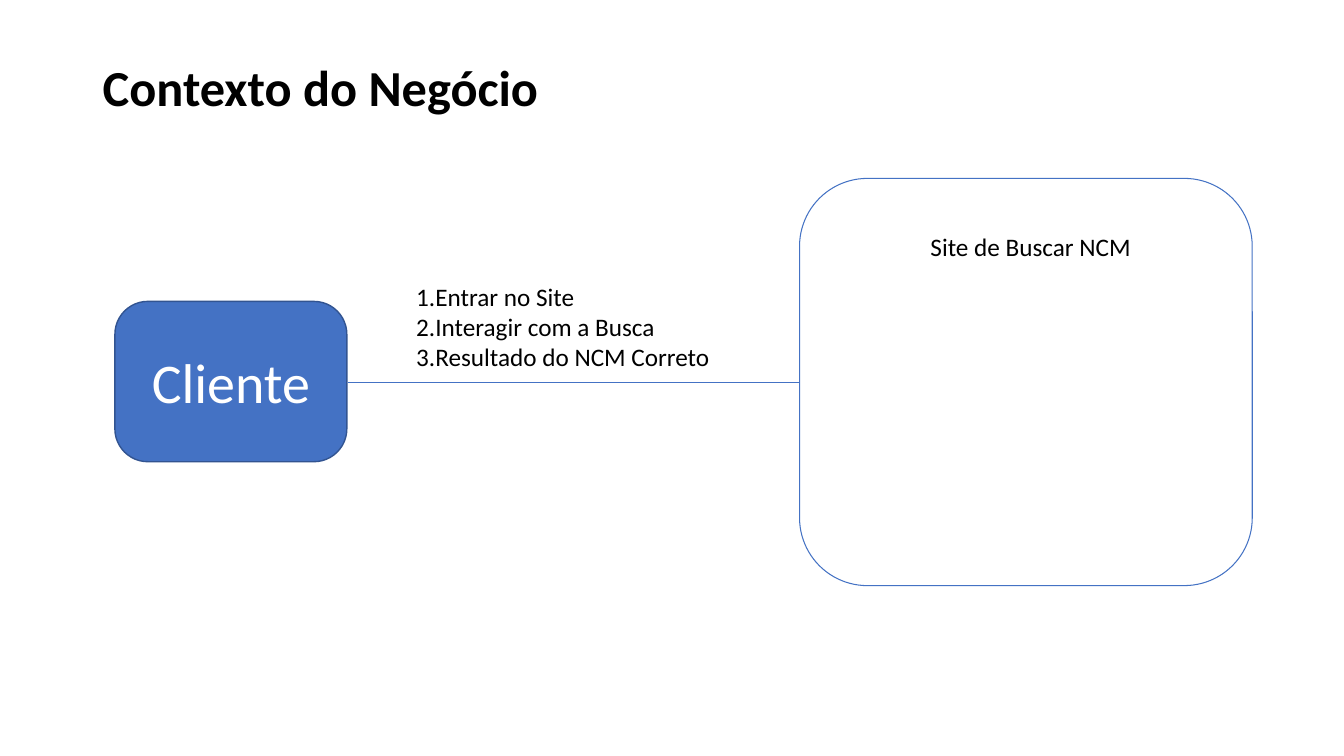
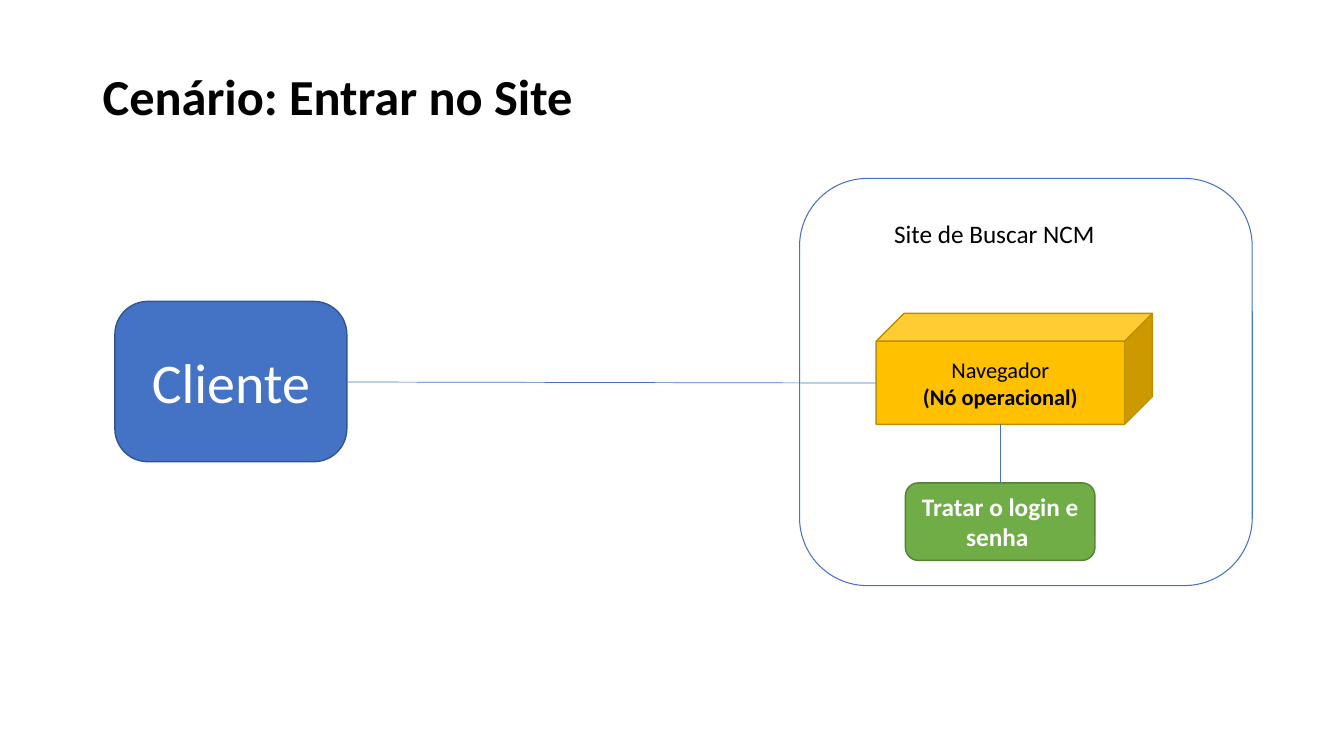
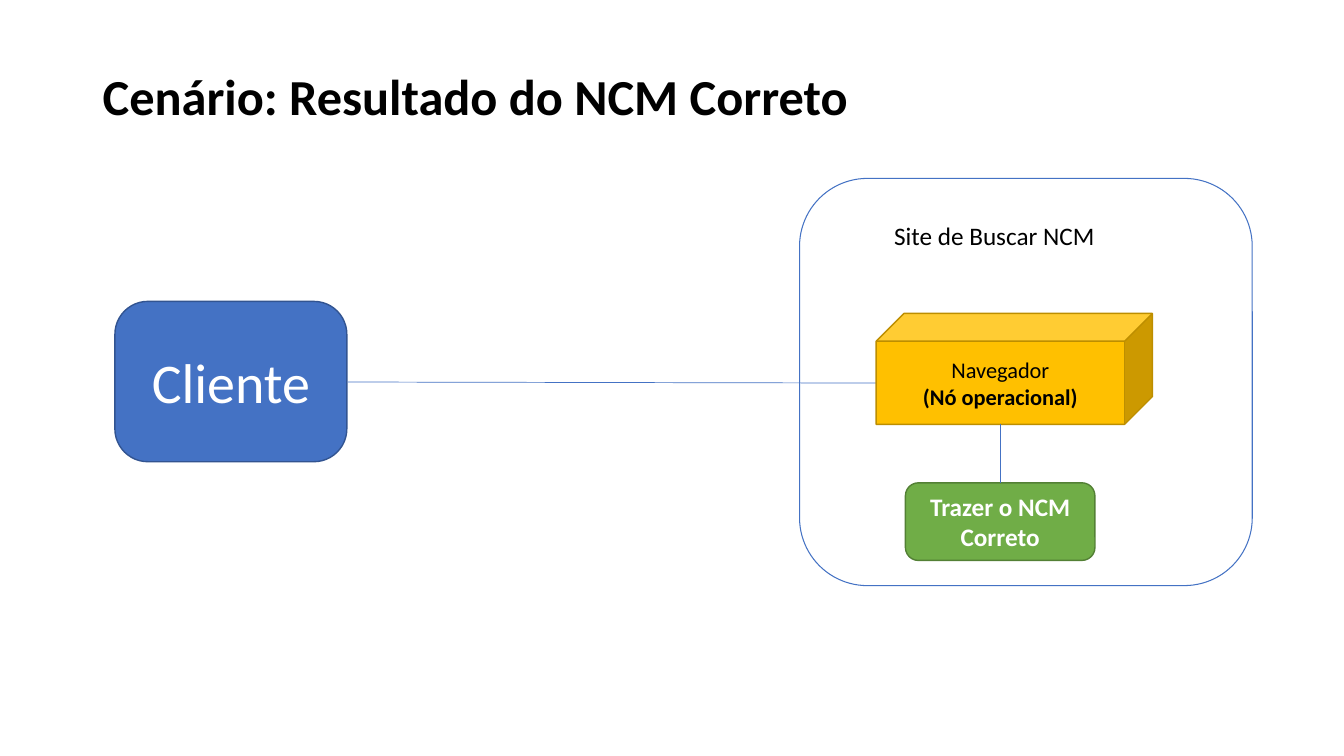
from pptx import Presentation
from pptx.dml.color import RGBColor
from pptx.enum.shapes import MSO_CONNECTOR, MSO_SHAPE
from pptx.enum.text import MSO_ANCHOR, MSO_AUTO_SIZE, PP_ALIGN
from pptx.oxml.ns import qn
from pptx.util import Inches, Pt
from lxml import etree

ROUNDED, CUBE = MSO_SHAPE.ROUNDED_RECTANGLE, MSO_SHAPE.CUBE
STRAIGHT = MSO_CONNECTOR.STRAIGHT
TOP, MIDDLE, BOTTOM = MSO_ANCHOR.TOP, MSO_ANCHOR.MIDDLE, MSO_ANCHOR.BOTTOM
LEFT, CENTER = PP_ALIGN.LEFT, PP_ALIGN.CENTER
GROW = MSO_AUTO_SIZE.SHAPE_TO_FIT_TEXT

FONT = "Calibri"
COLORS = {
    "black": "000000", "white": "FFFFFF",
    "blue": "4472C4", "blue_edge": "325491",
    "gold": "FFC000", "gold_edge": "BD8E00",
    "green": "70AD47", "green_edge": "538035",
}

# Left, top, width, height in inches
CLIENT = (1.14, 2.99, 2.3, 1.59)
SITE = (7.93, 1.77, 4.49, 4.04)
BROWSER = (8.69, 3.11, 2.74, 1.1)
TASK = (8.98, 4.79, 1.88, 0.77)
LINK_START = (3.45, 3.79)


def color(name):
    return RGBColor.from_string(COLORS[name])


def write(shape, lines, size=18, ink="black", bold=(False,), align=LEFT,
          anchor=TOP, spacing=None):
    """Write one paragraph per line; bold holds one flag per line or one for all."""
    frame = shape.text_frame
    frame.word_wrap = True
    frame.vertical_anchor = anchor
    flags = bold if len(bold) == len(lines) else bold * len(lines)
    for index, (line, flag) in enumerate(zip(lines, flags)):
        para = frame.add_paragraph() if index else frame.paragraphs[0]
        para.alignment = align
        if spacing:
            para.line_spacing = spacing
        span = para.add_run()
        span.text = line
        span.font.name = FONT
        span.font.size = Pt(size)
        span.font.bold = flag
        span.font.color.rgb = color(ink)


def add_text(page, area, lines, **style):
    box = page.shapes.add_textbox(*map(Inches, area))
    write(box, lines, **style)
    box.text_frame.auto_size = GROW


def add_box(page, kind, area, edge, fill=None, width=1, corner=None):
    box = page.shapes.add_shape(kind, *map(Inches, area))
    box.shadow.inherit = False
    if fill:
        box.fill.solid()
        box.fill.fore_color.rgb = color(fill)
    else:
        box.fill.background()
    box.line.color.rgb = color(edge)
    box.line.width = Pt(width)
    if corner:
        box.adjustments[0] = corner
    return box


def add_line(page, start, end):
    line = page.shapes.add_connector(STRAIGHT, *map(Inches, start + end))
    line.line.color.rgb = color("blue")
    line.line.width = Pt(0.5)
    etree.SubElement(line._element.spPr, qn("a:effectLst"))


def add_page(deck, title, title_top, label_at, link_end):
    """Add the title, the client, the site and the line that joins them."""
    page = deck.slides.add_slide(deck.slide_layouts[6])
    add_box(page, ROUNDED, SITE, "blue", width=0.75)
    client = add_box(page, ROUNDED, CLIENT, "blue_edge", "blue", corner=0.205)
    write(client, ["Cliente"], size=40, ink="white", align=CENTER, anchor=MIDDLE)
    add_text(page, (0.92, title_top, 11.5, 0.65), [title], size=36,
             bold=(True,), anchor=BOTTOM, spacing=0.9)
    add_line(page, LINK_START, link_end)
    add_text(page, label_at + (3.29, 0.4), ["Site de Buscar NCM"])
    return page


def add_context(deck):
    page = add_page(deck, "Contexto do Negócio", 0.56, (9.13, 2.25),
                    (SITE[0], LINK_START[1]))
    add_text(page, (4.03, 2.74, 3.51, 1.01),
             ["1.Entrar no Site", "2.Interagir com a Busca",
              "3.Resultado do NCM Correto"])


def add_scenario(deck, name, task_text, label_top):
    page = add_page(deck, "Cenário: " + name, 0.65, (8.77, label_top),
                    (BROWSER[0], 3.8))
    # Browser node and the task below it
    browser = add_box(page, CUBE, BROWSER, "gold_edge", "gold")
    write(browser, ["Navegador", "(Nó operacional)"], size=16,
          bold=(False, True), align=CENTER, anchor=MIDDLE)
    task = add_box(page, ROUNDED, TASK, "green_edge", "green")
    write(task, [task_text], ink="white", bold=(True,), align=CENTER,
          anchor=MIDDLE)
    middle = TASK[0] + TASK[2] / 2
    add_line(page, (middle, BROWSER[1] + BROWSER[3]), (middle, TASK[1]))


def main():
    deck = Presentation()
    deck.slide_width, deck.slide_height = Inches(13.33), Inches(7.5)
    add_context(deck)
    add_scenario(deck, "Entrar no Site", "Tratar o login e senha ", 2.12)
    add_scenario(deck, "Resultado do NCM Correto", "Trazer o NCM Correto", 2.14)
    deck.save("out.pptx")


main()
